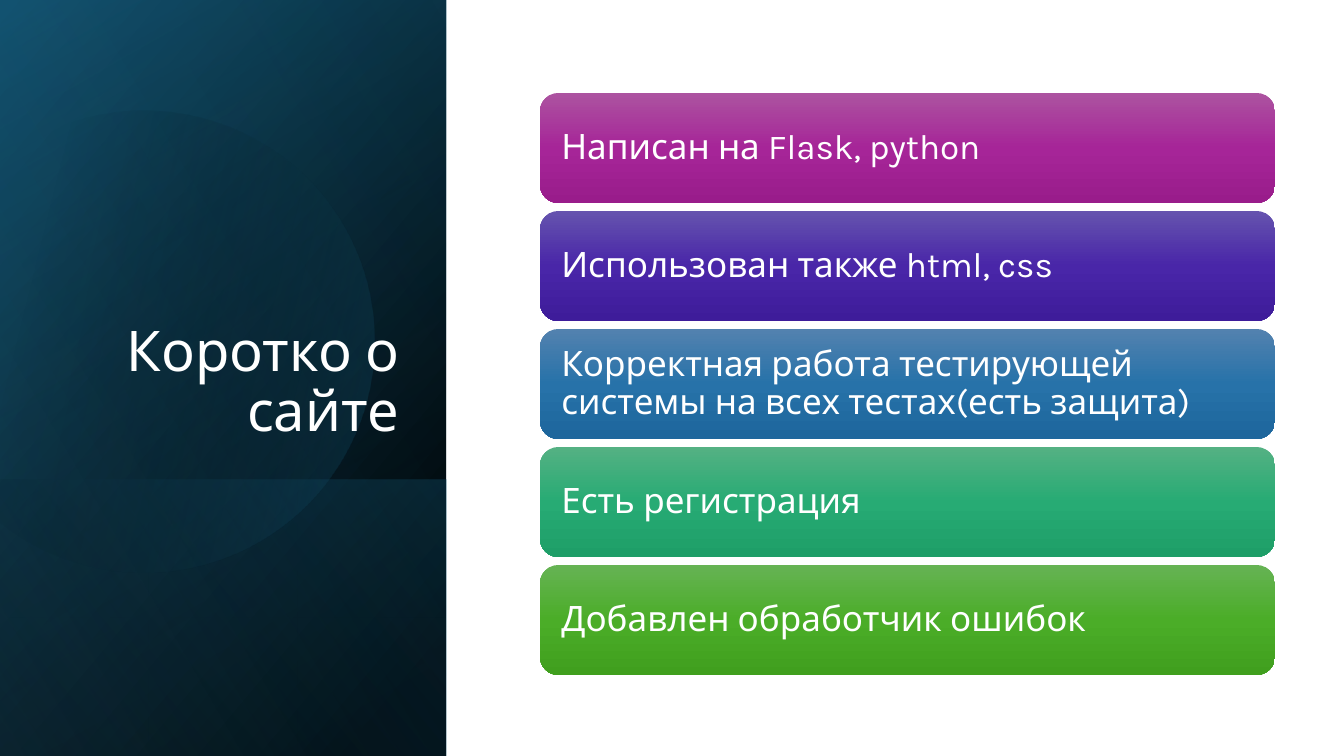
"""Builds the slide that briefly describes the website."""
from math import acos, cos, degrees, radians, sin

from lxml.etree import SubElement
from pptx import Presentation
from pptx.dml.color import RGBColor
from pptx.enum.shapes import MSO_SHAPE
from pptx.enum.text import MSO_ANCHOR, PP_ALIGN
from pptx.oxml.ns import qn
from pptx.util import Emu, Pt

TITLE = "Коротко о сайте"
FEATURES = [
    ("Написан на Flask, python", ["AC53A0", "A62598", "991C8B"]),
    ("Использован также html, css", ["6553AE", "4926A8", "3E1C9A"]),
    ("Корректная работа тестирующей системы на всех тестах(есть защита)",
     ["5382AF", "2772A9", "1D669C"]),
    ("Есть регистрация", ["54B183", "27AB74", "1E9E68"]),
    ("Добавлен обработчик ошибок", ["66B354", "4BAD28", "409F1E"]),
]
SIDEBAR_WIDTH, SLIDE_WIDTH, SLIDE_HEIGHT = 446, 1344, 756
BASE_LAYERS = [
    (0, [(8, "000000", 100), (100, "104862", 100)], 50),
    (0, [(0, "000000", 0), (99, "156082", 46)], 30),
    (480, [(2, "156082", 29), (100, "000000", 30)], 130),
]
DISC_STOPS = [(29, "000000", 0), (100, "156082", 43)]
DISC_X, DISC_Y, DISC_RADIUS, DISC_CUT, DISC_TILT = 143, 337, 231, -159, 16.1
GLOW_LAYER = (0, [(0, "000000", 0), (99, "46B1E1", 11)], 120)
CARD_LEFT, CARD_TOP, CARD_WIDTH, CARD_HEIGHT, CARD_STEP = 540, 93, 735, 110, 118
FONT, WHITE = "Karla", "FFFFFF"


def px(length):
    return Emu(round(length * 12192000 / SLIDE_WIDTH))


def color(hex_code):
    return RGBColor.from_string(hex_code)


def paint(shape, stops, angle):
    shape.shadow.inherit = False
    shape.line.fill.background()
    shape.fill.gradient()
    shape.fill.gradient_angle = 360 - angle
    stop_list = shape.element.spPr.find(qn("a:gradFill")).find(qn("a:gsLst"))
    for sample in list(stop_list):
        stop_list.remove(sample)
    for position, hex_code, opacity in stops:
        stop = SubElement(stop_list, qn("a:gs"), pos=str(position * 1000))
        tint = SubElement(stop, qn("a:srgbClr"), val=str(color(hex_code)))
        if opacity < 100:
            SubElement(tint, qn("a:alpha"), val=str(opacity * 1000))


def write(shape, text, size, align, anchor):
    frame = shape.text_frame
    frame.text = text
    frame.word_wrap = True
    frame.vertical_anchor = anchor
    paragraph = frame.paragraphs[0]
    paragraph.alignment = align
    paragraph.line_spacing = 0.9
    font = paragraph.runs[0].font
    font.name, font.size = FONT, Pt(size)
    font.color.rgb = color(WHITE)


def add_layer(shapes, top, stops, angle):
    height = SLIDE_HEIGHT - top
    left = (SIDEBAR_WIDTH - height) / 2
    layer = shapes.add_shape(MSO_SHAPE.RECTANGLE, px(left), px(top - left),
                             px(height), px(SIDEBAR_WIDTH))
    layer.element.spPr.find(qn("a:xfrm")).set("flipH", "1")
    layer.rotation = 90
    paint(layer, stops, angle)


def add_disc(shapes):
    reach = degrees(acos(DISC_CUT / DISC_RADIUS))
    steps = 90
    angles = [radians(DISC_TILT - reach + 2 * reach * step / steps)
              for step in range(steps + 1)]
    rim = [(px(DISC_X + DISC_RADIUS * cos(angle)),
            px(DISC_Y + DISC_RADIUS * sin(angle))) for angle in angles]
    outline = shapes.build_freeform(*rim[0])
    outline.add_line_segments(rim[1:], close=True)
    disc = outline.convert_to_shape()
    disc.rotation = 360 - DISC_TILT
    paint(disc, DISC_STOPS, 30)


def add_card(shapes, row, text, shades):
    card = shapes.add_shape(MSO_SHAPE.ROUNDED_RECTANGLE, px(CARD_LEFT),
                            px(CARD_TOP + row * CARD_STEP),
                            px(CARD_WIDTH), px(CARD_HEIGHT))
    paint(card, [(50 * i, shade, 100) for i, shade in enumerate(shades)], 90)
    write(card, text, 25, PP_ALIGN.LEFT, MSO_ANCHOR.MIDDLE)
    card.text_frame.margin_left = card.text_frame.margin_right = px(16)


def main():
    deck = Presentation()
    deck.slide_width, deck.slide_height = px(SLIDE_WIDTH), px(SLIDE_HEIGHT)
    slide = deck.slides.add_slide(deck.slide_layouts[5])
    shapes = slide.shapes
    for layer in BASE_LAYERS:
        add_layer(shapes, *layer)
    add_disc(shapes)
    add_layer(shapes, *GLOW_LAYER)

    title = shapes.title
    title.left, title.top, title.width, title.height = map(px, (65, 185, 344, 264))
    write(title, TITLE, 40, PP_ALIGN.RIGHT, MSO_ANCHOR.BOTTOM)
    title.element.getparent().append(title.element)

    for row, (text, shades) in enumerate(FEATURES):
        add_card(shapes, row, text, shades)
    deck.save("out.pptx")


if __name__ == "__main__":
    main()
